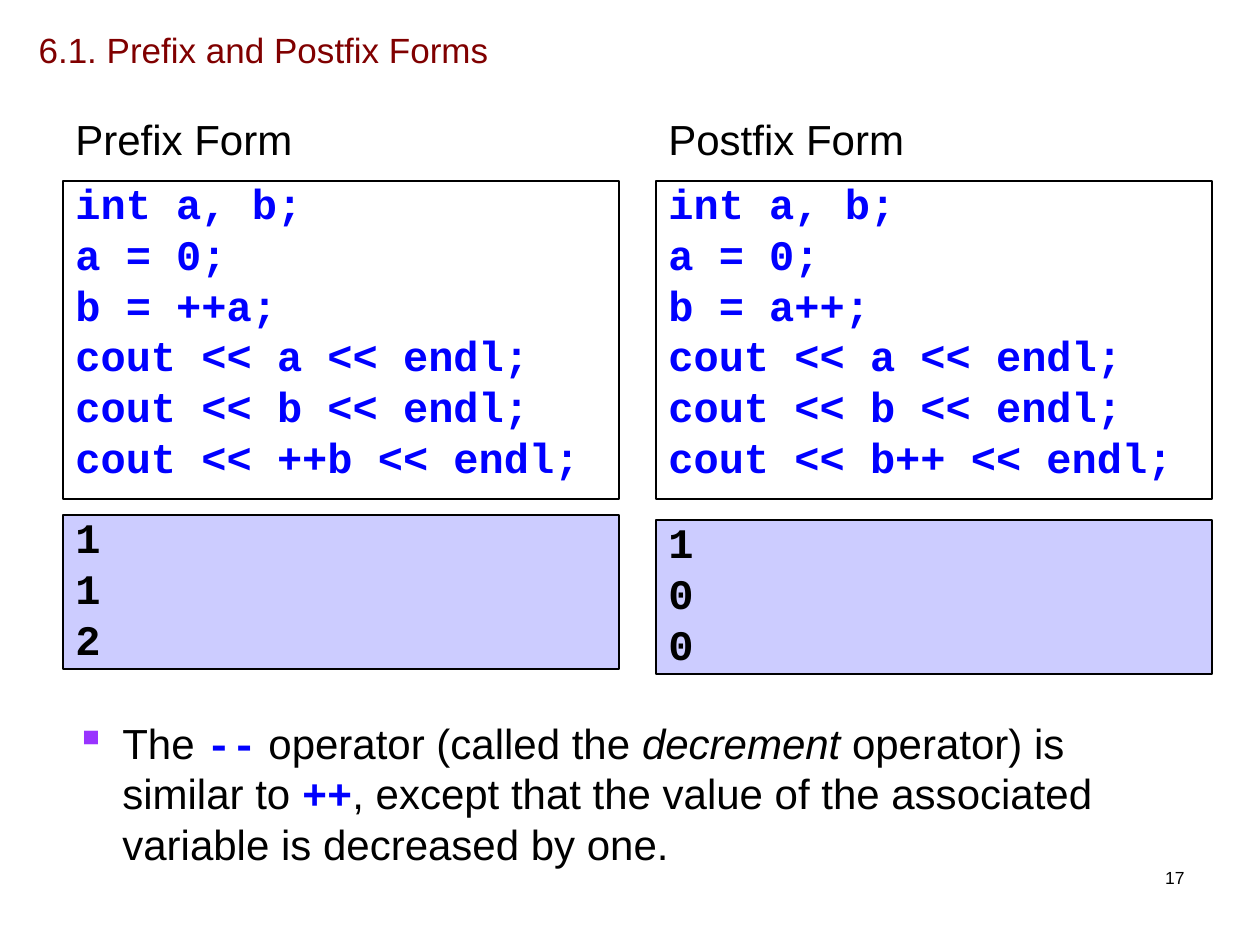
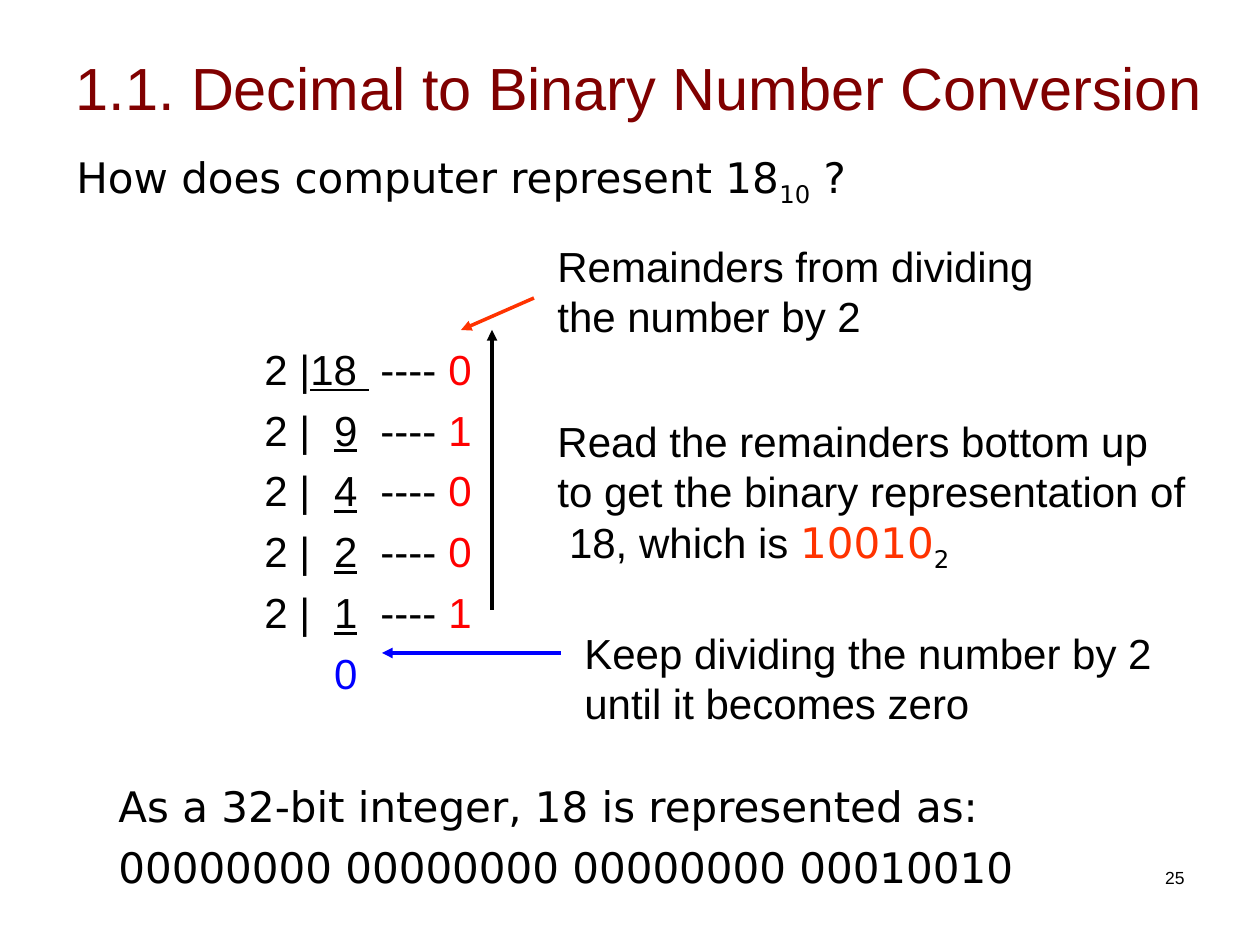
from dataclasses import dataclass

import pptx
import pptx.dml.color
import pptx.enum.shapes
import pptx.enum.text
import pptx.oxml
import pptx.oxml.ns
import pptx.util

PX_PER_INCH = 126
EMU_PER_PX = 914400 / PX_PER_INCH

COLORS = {
    "title": "800000", "text": "000000", "code": "0000FF", "output": "CCCCFF",
    "bullet": "9933FF", "remainder": "FF0000", "highlight": "FF3300",
}
SANS, MONO, WIDE = "Arial", "Courier New", "DejaVu Sans"
BODY_SIZE = 24
PARAGRAPH_GAP = 6
CODE_SPACING = 0.8


@dataclass(frozen=True)
class Box:
    left: int
    top: int
    width: int
    height: int


@dataclass(frozen=True)
class Span:
    text: str
    color: str = "text"
    font: str = SANS
    bold: bool = False
    italic: bool = False
    underline: bool = False
    subscript: bool = False


@dataclass(frozen=True)
class Example:
    heading: str
    left: int
    output_top: int
    code: list[str]
    output: list[str]


@dataclass(frozen=True)
class Division:
    number: str
    lead: str
    underlined_lead: bool
    remainder: str


@dataclass(frozen=True)
class Arrow:
    start: tuple[int, int]
    end: tuple[int, int]
    color: str


Lines = list[list[Span]]


# Shared helpers
def px(length: int) -> int:
    return round(length * EMU_PER_PX)


def rgb(name: str) -> pptx.dml.color.RGBColor:
    return pptx.dml.color.RGBColor.from_string(COLORS[name])


def add_xml(parent, markup: str) -> None:
    """Append a DrawingML element, declaring its namespace."""
    tag, rest = markup.split(" ", 1)
    parent.append(pptx.oxml.parse_xml(f"{tag} {pptx.oxml.ns.nsdecls('a')} {rest}"))


def place(shape, box: Box) -> None:
    shape.left, shape.top = px(box.left), px(box.top)
    shape.width, shape.height = px(box.width), px(box.height)


def write(frame, lines: Lines, size: int = BODY_SIZE, gap: int = 0,
          spacing: float | None = None,
          align=pptx.enum.text.PP_ALIGN.LEFT) -> None:
    frame.word_wrap = True
    frame.auto_size = pptx.enum.text.MSO_AUTO_SIZE.NONE
    for index, spans in enumerate(lines):
        paragraph = frame.add_paragraph() if index else frame.paragraphs[0]
        paragraph.alignment = align
        paragraph.space_before = pptx.util.Pt(gap if index else 0)
        if spacing:
            paragraph.line_spacing = spacing
        for span in spans:
            run = paragraph.add_run()
            run.text = span.text
            font = run.font
            font.name, font.size = span.font, pptx.util.Pt(size)
            font.color.rgb = rgb(span.color)
            font.bold, font.italic = span.bold, span.italic
            font.underline = span.underline
            if span.subscript:
                run._r.get_or_add_rPr().set("baseline", "-25000")


def add_text(slide, box: Box, lines: Lines, **style):
    textbox = slide.shapes.add_textbox(
        px(box.left), px(box.top), px(box.width), px(box.height))
    write(textbox.text_frame, lines, **style)
    return textbox.text_frame


def add_panel(slide, box: Box, lines: list[str], color: str,
              fill: str | None = None) -> None:
    panel = slide.shapes.add_shape(
        pptx.enum.shapes.MSO_SHAPE.RECTANGLE,
        px(box.left), px(box.top), px(box.width), px(box.height))
    panel.shadow.inherit = False
    if fill:
        panel.fill.solid()
        panel.fill.fore_color.rgb = rgb(fill)
    else:
        panel.fill.background()
    panel.line.color.rgb = rgb("text")
    panel.line.width = pptx.util.Pt(0.75)
    panel.text_frame.vertical_anchor = pptx.enum.text.MSO_ANCHOR.TOP
    write(panel.text_frame, [[Span(line, color, MONO, bold=True)] for line in lines],
          gap=PARAGRAPH_GAP, spacing=CODE_SPACING)


def add_arrow(slide, arrow: Arrow) -> None:
    connector = slide.shapes.add_connector(
        pptx.enum.shapes.MSO_CONNECTOR.STRAIGHT,
        *map(px, arrow.start + arrow.end))
    connector.line.color.rgb = rgb(arrow.color)
    connector.line.width = pptx.util.Pt(2)
    add_xml(connector.line._get_or_add_ln(), '<a:tailEnd type="triangle"/>')
    add_xml(connector._element.spPr, "<a:effectLst />")


def add_slide(deck, title: str, title_box: Box, title_size: int, number: int):
    slide = deck.slides.add_slide(deck.slide_layouts[5])
    heading = slide.shapes.title
    place(heading, title_box)
    heading.text_frame.vertical_anchor = pptx.enum.text.MSO_ANCHOR.MIDDLE
    write(heading.text_frame, [[Span(title, "title")]], size=title_size)
    add_text(slide, Box(903, 861, 294, 63), [[Span(str(number))]], size=10,
             align=pptx.enum.text.PP_ALIGN.RIGHT)
    return slide


# Prefix and postfix forms
EXAMPLES = [
    Example("Prefix Form", 63, 515,
            ["int a, b;", "a = 0;", "b = ++a;", "cout << a << endl;",
             "cout << b << endl;", "cout << ++b << endl;"], ["1", "1", "2"]),
    Example("Postfix Form", 656, 520,
            ["int a, b;", "a = 0;", "b = a++;", "cout << a << endl;",
             "cout << b << endl;", "cout << b++ << endl;"], ["1", "0", "0"]),
]


def build_forms(deck) -> None:
    slide = add_slide(deck, "6.1. Prefix and Postfix Forms",
                      Box(26, 23, 673, 53), 20, 17)
    for example in EXAMPLES:
        add_text(slide, Box(example.left, 107, 270, 63), [[Span(example.heading)]])
        add_panel(slide, Box(example.left, 181, 556, 318), example.code, "code")
        add_panel(slide, Box(example.left, example.output_top, 556, 154),
                  example.output, "text", fill="output")

    decrement = add_text(slide, Box(63, 711, 1134, 181), [[
        Span("The "),
        Span("--", "code", MONO, bold=True),
        Span(" operator (called the "),
        Span("decrement", italic=True),
        Span(" operator) is similar to "),
        Span("++", "code", MONO, bold=True),
        Span(", except that the value of the associated variable is decreased by one."),
    ]])
    properties = decrement.paragraphs[0]._p.get_or_add_pPr()
    properties.set("marL", str(px(47)))
    properties.set("indent", str(-px(47)))
    add_xml(properties, f'<a:buClr ><a:srgbClr val="{COLORS["bullet"]}"/></a:buClr>')
    add_xml(properties, '<a:buChar char="▪"/>')


# Decimal to binary conversion
DIVISIONS = [
    Division("18 ", "", True, "0"),
    Division("9", "\t", True, "1"),
    Division("4", "\t", False, "0"),
    Division("2", "\t", True, "0"),
    Division("1", "\t", True, "1"),
]
# Columns for the quotient, the dashes and the remainder
DIVISION_TABS = [(93, "r"), (116, "l"), (184, "l")]
ARROWS = [
    Arrow((492, 610), (492, 330), "text"),
    Arrow((534, 298), (461, 330), "highlight"),
    Arrow((561, 653), (382, 653), "code"),
]


def division_spans(division: Division) -> list[Span]:
    return [
        Span("2 |"),
        Span(division.lead, underline=division.underlined_lead),
        Span(division.number, underline=True),
        Span("\t----\t"),
        Span(division.remainder, "remainder"),
    ]


def build_conversion(deck) -> None:
    slide = add_slide(deck, "1.1. Decimal to Binary Number Conversion",
                      Box(63, 23, 1154, 127), 34, 25)
    add_text(slide, Box(64, 145, 1134, 76), [[
        Span("How does computer represent 18", font=WIDE),
        Span("10", font=WIDE, subscript=True),
        Span(" ?", font=WIDE),
    ]])

    # Repeated division
    steps = [division_spans(division) for division in DIVISIONS]
    steps.append([Span("\t0", "code")])
    ladder = add_text(slide, Box(252, 337, 235, 378), steps, gap=PARAGRAPH_GAP)
    stops = "".join(f'<a:tab pos="{px(position)}" algn="{side}"/>'
                    for position, side in DIVISION_TABS)
    for paragraph in ladder.paragraphs:
        add_xml(paragraph._p.get_or_add_pPr(), f"<a:tabLst >{stops}</a:tabLst>")

    # Explanations
    for arrow in ARROWS:
        add_arrow(slide, arrow)
    add_text(slide, Box(545, 234, 503, 122),
             [[Span("Remainders from dividing the number by 2")]])
    add_text(slide, Box(545, 409, 662, 185), [
        [Span("Read the remainders bottom up to get the binary representation of")],
        [Span(" 18, which is "), Span("10010", "highlight", WIDE),
         Span("2", font=WIDE, subscript=True)],
    ])
    add_text(slide, Box(572, 621, 620, 122),
             [[Span("Keep dividing the number by 2 until it becomes zero")]])
    add_text(slide, Box(106, 774, 1101, 125), [
        [Span("As a 32-bit integer, 18 is represented as:", font=WIDE)],
        [Span("00000000 00000000 00000000 00010010", font=WIDE)],
    ], gap=PARAGRAPH_GAP)


def main() -> None:
    deck = pptx.Presentation()
    deck.slide_width, deck.slide_height = px(1260), px(945)
    build_forms(deck)
    build_conversion(deck)
    deck.save("out.pptx")


if __name__ == "__main__":
    main()
